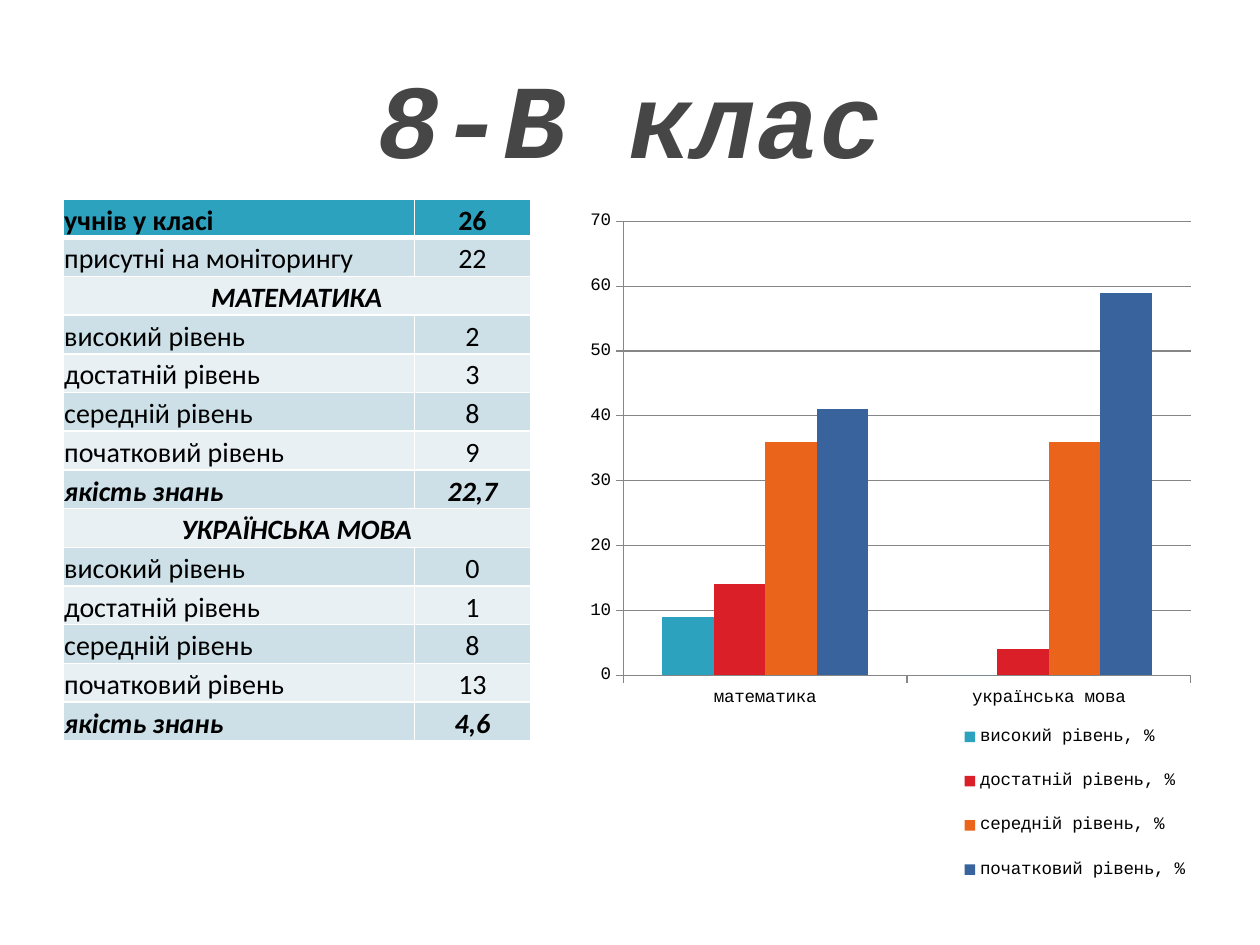
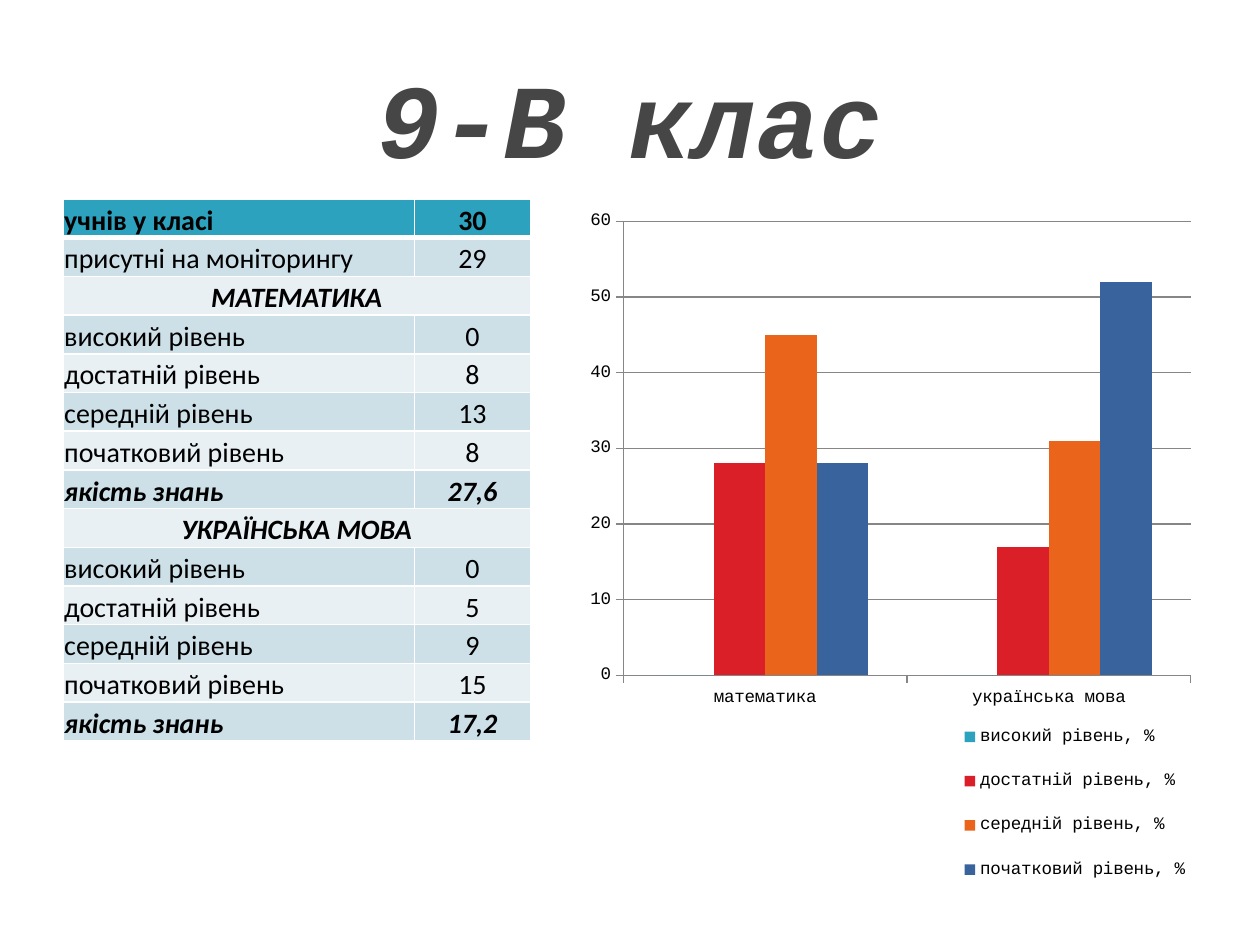
from lxml import etree
from pptx import Presentation
from pptx.chart.data import CategoryChartData
from pptx.dml.color import RGBColor
from pptx.enum import chart as ch, text as tx
from pptx.oxml import parse_xml
from pptx.oxml import ns
from pptx.util import Inches, Pt

HUES = {
    "title": "464646", "text": "000000", "line": "FFFFFF", "axis": "868686",
    "head": "2DA2BF", "odd": "CDE0E8", "even": "E8F0F4",
    "high": "2DA2BF", "good": "DA1F28", "mid": "EB641B", "low": "39639D",
}
LEVELS = {"high": "високий рівень", "good": "достатній рівень",
          "mid": "середній рівень", "low": "початковий рівень"}
SUBJECTS = ["математика", "українська мова"]
QUALITY = "якість знань"

# Each subject: counts by level, quality of knowledge, percentages by level
GRADES = [
    {"name": "8-В клас", "pupils": 26, "present": 22, "top": 70,
     "marks": [([2, 3, 8, 9], "22,7", [9, 14, 36, 41]),
               ([0, 1, 8, 13], "4,6", [0, 4, 36, 59])]},
    {"name": "9-В клас", "pupils": 30, "present": 29, "top": 60,
     "marks": [([0, 8, 13, 8], "27,6", [0, 28, 45, 28]),
               ([0, 5, 9, 15], "17,2", [0, 17, 31, 52])]},
]


def hue(name):
    return RGBColor.from_string(HUES[name])


def place(part, x, y, w, h, inner=False):
    """Fix a chart part at fractions of the chart area."""
    for old in part.findall(ns.qn("c:layout")):
        part.remove(old)
    spots = [("xMode", "edge"), ("yMode", "edge"),
             ("x", x), ("y", y), ("w", w), ("h", h)]
    if inner:
        spots.insert(0, ("layoutTarget", "inner"))
    tags = "".join(f'<c:{tag} val="{val}"/>' for tag, val in spots)
    layout = parse_xml(f'<c:layout {ns.nsdecls("c")}><c:manualLayout>'
                       f'{tags}</c:manualLayout></c:layout>')
    if inner:
        part.insert(0, layout)
    else:
        part.find(ns.qn("c:legendPos")).addnext(layout)


class Deck:
    sans, mono = "Calibri", "Courier New"

    def __init__(self):
        self.prs = Presentation()
        self.prs.slide_width, self.prs.slide_height = Inches(10), Inches(7.5)
        self.slide = None

    def font(self, font, name, size, color, bold=False, slant=False):
        font.name, font.size = name, Pt(size)
        font.bold, font.italic = bold, slant
        font.color.rgb = hue(color)

    def title(self, words):
        """Start a slide with its title."""
        self.slide = self.prs.slides.add_slide(self.prs.slide_layouts[5])
        box = self.slide.shapes.title
        box.left, box.top = Inches(0.5), Inches(0.3)
        box.width, box.height = Inches(9), Inches(1.25)
        frame = box.text_frame
        frame.text = words
        frame.vertical_anchor = tx.MSO_ANCHOR.MIDDLE
        para = frame.paragraphs[0]
        para.alignment = tx.PP_ALIGN.CENTER
        self.font(para.font, self.mono, 60, "title", True, True)

    def edge(self, cell, base):
        """Draw the cell borders; base is the width of the lower one."""
        props = cell._tc.get_or_add_tcPr()
        for side, width in zip("LRTB", (1, 1, 1, base)):
            line = etree.SubElement(props, ns.qn(f"a:ln{side}"), w=str(Pt(width)))
            fill = etree.SubElement(line, ns.qn("a:solidFill"))
            etree.SubElement(fill, ns.qn("a:srgbClr"), val=HUES["line"])

    def cell(self, cell, words, fill, center, bold, slant):
        cell.text = words
        cell.vertical_anchor = tx.MSO_ANCHOR.BOTTOM
        cell.margin_left = cell.margin_right = cell.margin_top = Inches(0.01)
        cell.margin_bottom = 0
        para = cell.text_frame.paragraphs[0]
        para.alignment = tx.PP_ALIGN.CENTER if center else tx.PP_ALIGN.LEFT
        self.font(para.font, self.sans, 16, "text", bold, slant)
        self.edge(cell, 3 if fill == "head" else 1)
        cell.fill.solid()
        cell.fill.fore_color.rgb = hue(fill)

    def table(self, rows):
        """A row without a value is a heading across both columns."""
        grid = self.slide.shapes.add_table(
            len(rows), 2, Inches(0.5), Inches(1.58), Inches(3.71), Inches(4.3)).table
        for col, width in zip(grid.columns, (2.79, 0.92)):
            col.width = Inches(width)
        for num, (label, value) in enumerate(rows):
            fill = "head" if num == 0 else "odd" if num % 2 else "even"
            wide = value is None
            slant = wide or label == QUALITY
            bold = slant or num == 0
            if wide:
                grid.cell(num, 0).merge(grid.cell(num, 1))
            self.cell(grid.cell(num, 0), label, fill, wide, bold, slant)
            self.cell(grid.cell(num, 1), "" if wide else str(value),
                      fill, True, bold, slant)

    def axis(self, axis):
        axis.major_tick_mark = ch.XL_TICK_MARK.OUTSIDE
        axis.minor_tick_mark = ch.XL_TICK_MARK.NONE
        axis.format.line.color.rgb = hue("axis")
        axis.format.line.width = Pt(0.75)

    def chart(self, shares, top):
        data = CategoryChartData(number_format="General")
        data.categories = SUBJECTS
        for label, vals in zip(LEVELS.values(), zip(*shares)):
            data.add_series(f"{label}, %", vals)
        chart = self.slide.shapes.add_chart(
            ch.XL_CHART_TYPE.COLUMN_CLUSTERED, Inches(4.53), Inches(1.58),
            Inches(4.97), Inches(5.71), data).chart
        self.font(chart.font, self.mono, 10, "text")
        chart.has_title = False
        plot = chart.plots[0]
        plot.gap_width, plot.overlap = 150, 0
        plot.vary_by_categories = False
        for bars, level in zip(plot.series, LEVELS):
            bars.format.fill.solid()
            bars.format.fill.fore_color.rgb = hue(level)
        self.axis(chart.category_axis)
        scale = chart.value_axis
        self.axis(scale)
        scale.minimum_scale, scale.maximum_scale, scale.major_unit = 0, top, 10
        scale.has_major_gridlines = True
        scale.major_gridlines.format.line.color.rgb = hue("axis")
        scale.major_gridlines.format.line.width = Pt(0.75)
        chart.has_legend = True
        chart.legend.position = ch.XL_LEGEND_POSITION.RIGHT
        chart.legend.include_in_layout = False
        area = chart._chartSpace.chart
        place(area.plotArea, 0.084, 0.031, 0.906, 0.631, inner=True)
        place(chart.legend._element, 0.62, 0.7, 0.37, 0.28)


def main():
    deck = Deck()
    for grade in GRADES:
        rows = [("учнів у класі", grade["pupils"]),
                ("присутні на моніторингу", grade["present"])]
        for subject, (counts, quality, _) in zip(SUBJECTS, grade["marks"]):
            rows += [(subject.upper(), None), *zip(LEVELS.values(), counts),
                     (QUALITY, quality)]
        deck.title(grade["name"])
        deck.table(rows)
        deck.chart([mark[2] for mark in grade["marks"]], grade["top"])
    deck.prs.save("out.pptx")


if __name__ == "__main__":
    main()
